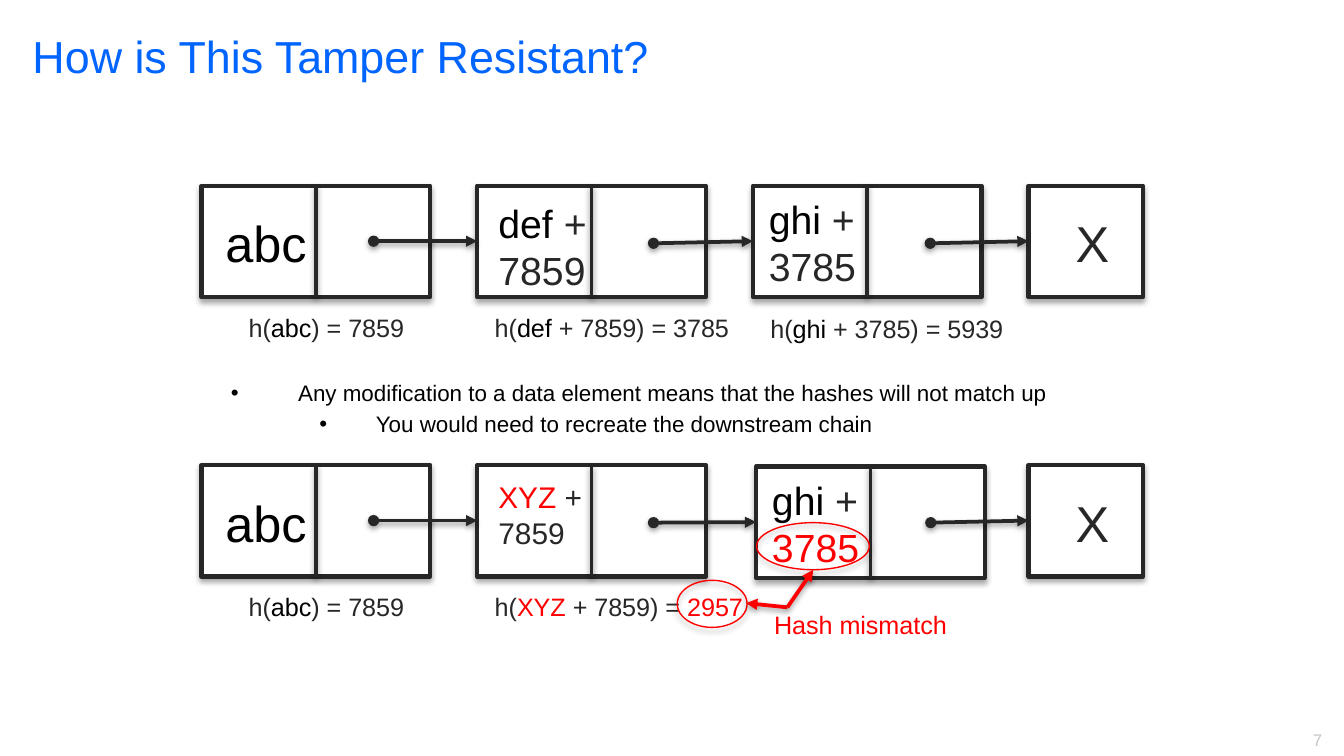
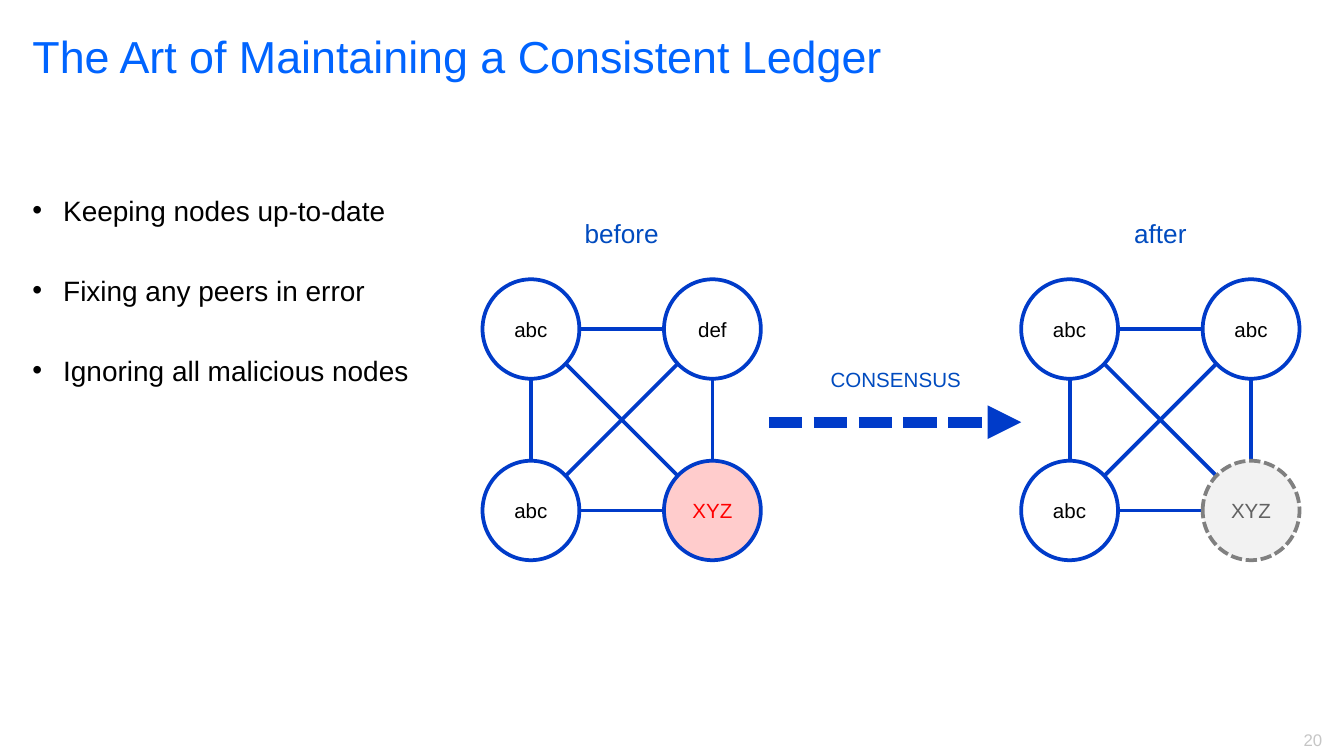
from itertools import combinations
from math import hypot

from lxml.etree import SubElement
from pptx import Presentation
from pptx.dml.color import RGBColor
from pptx.enum.dml import MSO_LINE
from pptx.enum.shapes import MSO_CONNECTOR, MSO_SHAPE
from pptx.enum.text import MSO_ANCHOR, MSO_AUTO_SIZE, PP_ALIGN
from pptx.oxml.ns import qn
from pptx.util import Cm, Pt

COLORS = {
    "title": "0064FF", "page": "C6C6C6", "black": "000000", "ink": "272727",
    "white": "FFFFFF", "red": "FF0000", "blue": "003BC9", "label": "004BBF",
    "silver": "BFBFBF", "gray": "808080", "dim": "626262",
}
FONT = "Arial"

TAMPER_TITLE = "How is This Tamper Resistant?"
TAMPER_BULLETS = [
    ("Any modification to a data element means that the hashes will not match up", 0, 1.27, -1.27),
    ("You would need to recreate the downstream chain", 1, 2.74, -1.07),
]
ABC = {
    "label": [("abc", "black")], "size": 27, "inset": (0.2, 0.38), "width": 2.06, "wrap": False,
    "hash": [("h(", "ink"), ("abc", "black"), (") = 7859", "ink")],
    "hash_at": (0.64, 2.26), "hash_width": 3.56, "dot": (3.25, 1.05),
}
DEF = {
    "label": [("def", "black"), (" + 7859", "ink")], "size": 21,
    "inset": (0.15, 0.13), "width": 2.24, "wrap": True,
    "hash": [("h(", "ink"), ("def ", "black"), ("+ 7859) = 3785", "ink")],
    "hash_at": (0.08, 2.26), "hash_width": 5.16, "dot": (3.33, 1.09),
}
GHI = {
    "label": [("ghi", "black"), (" + 3785", "ink")], "size": 21,
    "inset": (0.05, 0.05), "width": 2.16, "wrap": True,
    "hash": [("h(", "ink"), ("ghi ", "black"), ("+ 3785) = 5939", "ink")],
    "hash_at": (0.08, 2.28), "hash_width": 5.08, "dot": (3.35, 1.09),
}
END = {"label": [("X", "ink")], "size": 27, "inset": (0.64, 0.38), "width": 1.14, "wrap": False}
XYZ = {
    **DEF, "label": [("XYZ", "red"), (" + 7859", "ink")], "size": 16,
    "hash": [("h(", "ink"), ("XYZ ", "red"), ("+ 7859) = ", "ink"), ("2957", "red")],
    "hash_width": 5.31,
}
GHI_BROKEN = {
    **GHI, "label": [("ghi", "black"), (" + ", "ink"), ("3785", "red")],
    "hash": None, "nudge": (0.06, 0.03), "dot": (3.3, 1.06),
}
CHAINS = [(3.51, [ABC, DEF, GHI, END]), (8.79, [ABC, XYZ, GHI_BROKEN, END])]
CHAIN_LEFT, CHAIN_PITCH = 3.81, 5.21
CELL_W, CELL_H = 2.16, 2.11
MISMATCH_RINGS = [(12.8, 10.97, 1.32, 0.89), (14.3, 9.88, 2.13, 0.89)]
MISMATCH_BEND = (14.88, 11.48)
MISMATCH_TIPS = [(14.1, 11.4), (15.37, 10.77)]

LEDGER_TITLE = "The Art of Maintaining a Consistent Ledger"
LEDGER_BULLETS = [
    "Keeping nodes up-to-date", "Fixing any peers in error", "Ignoring all malicious nodes",
]
HEALTHY = ("white", None, "blue", None, "black")
FAULTY = ("red", 20, "blue", None, "red")
IGNORED = ("silver", 20, "gray", MSO_LINE.SQUARE_DOT, "dim")
NETWORKS = [
    (9.12, "before", [("abc", HEALTHY), ("def", HEALTHY), ("abc", HEALTHY), ("XYZ", FAULTY)]),
    (19.3, "after", [("abc", HEALTHY), ("abc", HEALTHY), ("abc", HEALTHY), ("XYZ", IGNORED)]),
]
NODE_TOP, NODE_STEP = 5.28, 3.43
NODE_W, NODE_H = 1.83, 1.88


def rgb(name):
    return RGBColor.from_string(COLORS[name])


def place(sh, x, y, w, h):
    sh.left, sh.top, sh.width, sh.height = Cm(x), Cm(y), Cm(w), Cm(h)


def style(r, size, color):
    r.font.name, r.font.size = FONT, Pt(size)
    r.font.color.rgb = rgb(color)


def add_text(s, x, y, w, h, runs, size, align=PP_ALIGN.LEFT, wrap=False):
    tf = s.shapes.add_textbox(Cm(x), Cm(y), Cm(w), Cm(h)).text_frame
    tf.word_wrap, tf.auto_size = wrap, MSO_AUTO_SIZE.SHAPE_TO_FIT_TEXT
    p = tf.paragraphs[0]
    p.alignment = align
    for text, color in runs:
        r = p.add_run()
        r.text = text
        style(r, size, color)


def outline(sh, color, width, dash=None, shadow=None, ends=()):
    sh.line.color.rgb, sh.line.width = rgb(color), Pt(width)
    if dash:
        sh.line.dash_style = dash
    spPr = sh.element.spPr
    for tag, kind in ends:
        SubElement(spPr.find(qn("a:ln")), qn(tag), type=kind)
    effects = SubElement(spPr, qn("a:effectLst"))
    if shadow:
        blur, dist, alpha = shadow
        outer = SubElement(effects, qn("a:outerShdw"), blurRad=str(Pt(blur)), dist=str(Pt(dist)),
                           dir="5400000", rotWithShape="0")
        clr = SubElement(outer, qn("a:srgbClr"), val=COLORS["black"])
        SubElement(clr, qn("a:alpha"), val=str(alpha * 1000))


SHAPE_SHADOW, LINE_SHADOW = (3.1, 1.8, 35), (3.1, 1.6, 38)
ARROW = [("a:tailEnd", "triangle")]
POINTER = [("a:headEnd", "oval")] + ARROW


def add_line(s, start, end, color, width=2, **look):
    c = s.shapes.add_connector(MSO_CONNECTOR.STRAIGHT, *map(Cm, (*start, *end)))
    outline(c, color, width, **look)


def add_block(s, kind, x, y, w, h, fill, color, width, alpha=None, **look):
    sh = s.shapes.add_shape(kind, Cm(x), Cm(y), Cm(w), Cm(h))
    if fill:
        sh.fill.solid()
        sh.fill.fore_color.rgb = rgb(fill)
    else:
        sh.fill.background()
    if alpha:
        clr = sh.element.spPr.find(qn("a:solidFill"))[0]
        SubElement(clr, qn("a:alpha"), val=str(alpha * 1000))
    outline(sh, color, width, **look)
    return sh


def add_slide(prs, title, page):
    s = prs.slides.add_slide(prs.slide_layouts[1])
    place(s.shapes.title, 0.36, 0.41, 21.59, 2.82)
    tf = s.shapes.title.text_frame
    tf.text = title
    tf.vertical_anchor, tf.auto_size = MSO_ANCHOR.TOP, MSO_AUTO_SIZE.NONE
    p = tf.paragraphs[0]
    p.alignment = PP_ALIGN.LEFT
    style(p.runs[0], 24, "title")
    add_text(s, 23.77, 13.67, 1.47, 0.64, [(page, "page")], 9, PP_ALIGN.RIGHT, True)
    return s


def fill_bullets(s, box, items, size, gap=None):
    body = s.placeholders[1]
    place(body, *box)
    tf = body.text_frame
    tf.auto_size = MSO_AUTO_SIZE.NONE
    tf.text = "\n".join(item[0] for item in items)
    for p, (_, level, margin, indent) in zip(tf.paragraphs, items):
        p.level = level
        if gap is not None:
            p.space_before, p.space_after = Pt(0), Pt(gap)
        pPr = p._p.get_or_add_pPr()
        pPr.set("marL", str(Cm(margin)))
        pPr.set("indent", str(Cm(indent)))
        SubElement(pPr, qn("a:buChar"), char="•")
        style(p.runs[0], size, "black")


def draw_chain(s, top, cells):
    spots = []
    for i, cell in enumerate(cells):
        dx, dy = cell.get("nudge", (0, 0))
        spots.append((CHAIN_LEFT + i * CHAIN_PITCH + dx, top + dy))
    for cell, (x, y) in zip(cells, spots):
        linked = "dot" in cell
        add_block(s, MSO_SHAPE.RECTANGLE, x, y, CELL_W * (2 if linked else 1), CELL_H,
                  "white", "ink", 2.25, shadow=SHAPE_SHADOW)
        if linked:
            add_line(s, (x + CELL_W, y), (x + CELL_W, y + CELL_H), "ink", shadow=LINE_SHADOW)
        ix, iy = cell["inset"]
        add_text(s, x + ix, y + iy, cell["width"], 1.42, cell["label"], cell["size"],
                 wrap=cell["wrap"])
        if cell.get("hash"):
            hx, hy = cell["hash_at"]
            add_text(s, x + hx, y + hy, cell["hash_width"], 0.84, cell["hash"], 13.5)
    for cell, (x, y), (nx, ny) in zip(cells, spots, spots[1:]):
        dx, dy = cell["dot"]
        add_line(s, (x + dx, y + dy), (nx, ny + 1.05), "ink", shadow=LINE_SHADOW, ends=POINTER)


def draw_network(s, left, nodes):
    spots = [(left + col * NODE_STEP, NODE_TOP + row * NODE_STEP)
             for row in range(2) for col in range(2)]
    rx, ry = NODE_W / 2, NODE_H / 2
    for (x1, y1), (x2, y2) in combinations(spots, 2):
        dx, dy = x2 - x1, y2 - y1
        t = 1 / hypot(dx / rx, dy / ry)
        add_line(s, (x1 + rx + t * dx, y1 + ry + t * dy),
                 (x2 + rx - t * dx, y2 + ry - t * dy), "blue")
    for (x, y), (text, (fill, alpha, line, dash, ink)) in zip(spots, nodes):
        sh = add_block(s, MSO_SHAPE.OVAL, x, y, NODE_W, NODE_H, fill, line, 2, alpha, dash=dash)
        tf = sh.text_frame
        tf.margin_left = tf.margin_right = 0
        tf.vertical_anchor = MSO_ANCHOR.MIDDLE
        tf.text = text
        p = tf.paragraphs[0]
        p.alignment = PP_ALIGN.CENTER
        style(p.runs[0], 11, ink)


def build_tamper(prs):
    s = add_slide(prs, TAMPER_TITLE, "7")
    fill_bullets(s, (4.11, 7.04, 17.15, 2.64), TAMPER_BULLETS, 12)
    for top, cells in CHAINS:
        draw_chain(s, top, cells)
    add_text(s, 14.38, 11.4, 3.86, 0.84, [("Hash mismatch", "red")], 13.5)
    for ring in MISMATCH_RINGS:
        add_block(s, MSO_SHAPE.OVAL, *ring, None, "red", 0.75, shadow=SHAPE_SHADOW)
    for tip in MISMATCH_TIPS:
        add_line(s, MISMATCH_BEND, tip, "red", shadow=LINE_SHADOW, ends=ARROW)


def build_ledger(prs):
    s = add_slide(prs, LEDGER_TITLE, "20")
    bullets = [(text, 0, 0.58, -0.58) for text in LEDGER_BULLETS]
    fill_bullets(s, (0.36, 3.53, 24.71, 8.23), bullets, 15, gap=24.75)
    for left, name, nodes in NETWORKS:
        middle = left + (NODE_STEP + NODE_W) / 2
        add_text(s, middle - 1.41, 3.99, 2.82, 0.86, [(name, "label")], 14, PP_ALIGN.CENTER, True)
        draw_network(s, left, nodes)
    add_text(s, 15.09, 6.81, 3.68, 0.74, [("CONSENSUS", "label")], 11, PP_ALIGN.CENTER, True)
    add_line(s, (14.53, 7.98), (19.3, 7.98), "blue", 6, dash=MSO_LINE.SQUARE_DOT, ends=ARROW)


def main():
    prs = Presentation()
    prs.slide_width, prs.slide_height = Cm(25.4), Cm(14.29)
    build_tamper(prs)
    build_ledger(prs)
    prs.save("out.pptx")


if __name__ == "__main__":
    main()
